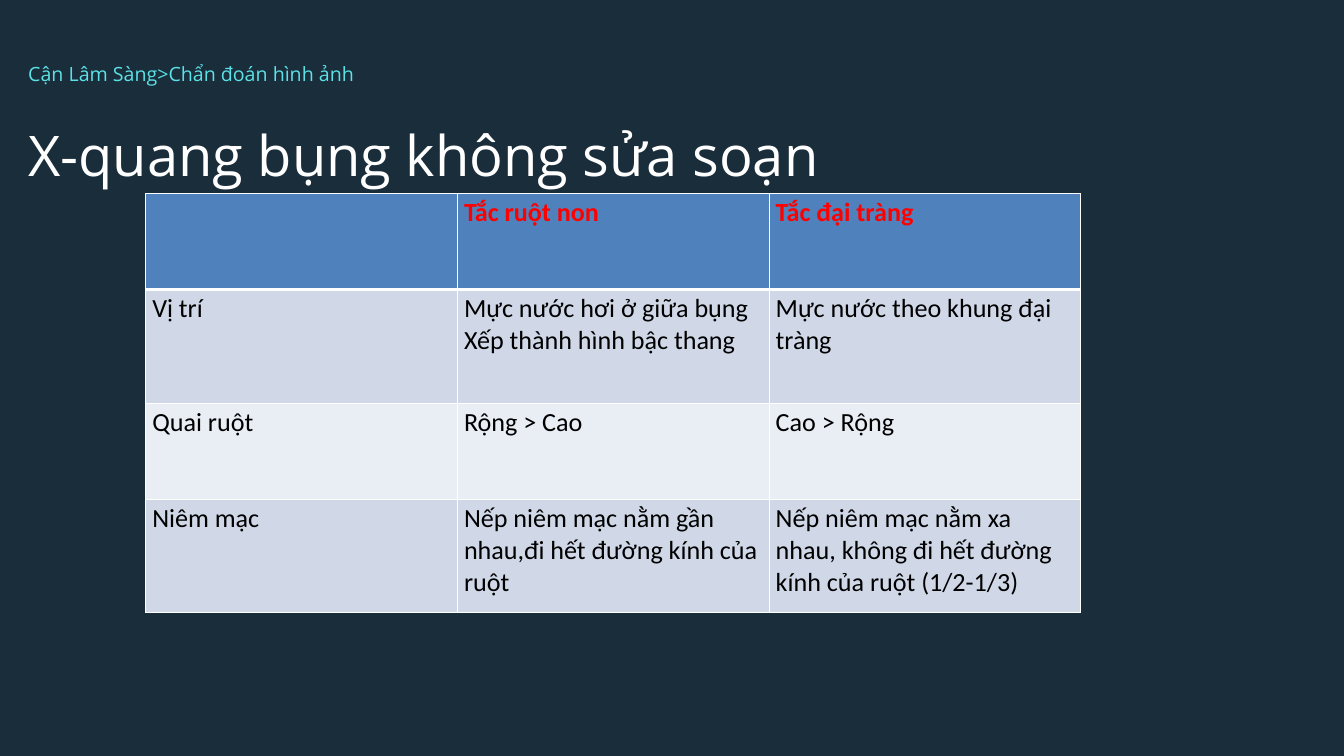
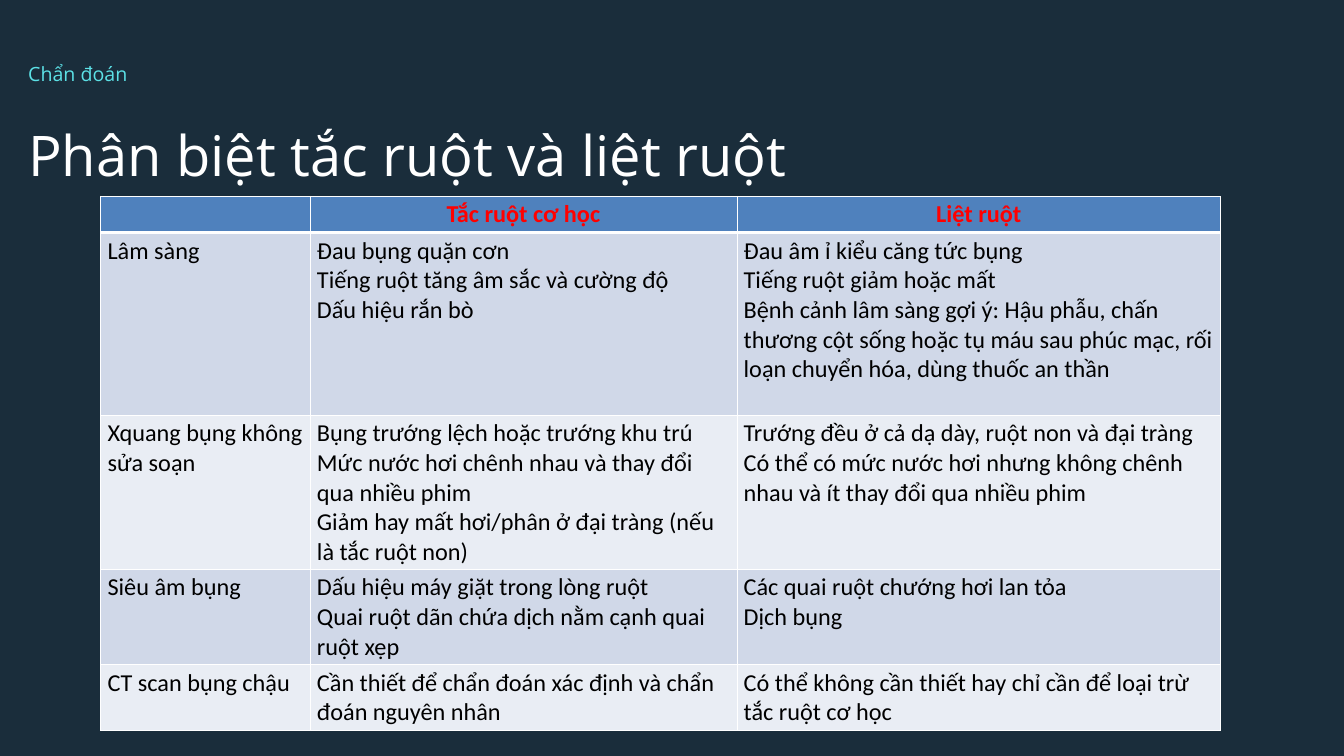
from lxml.etree import SubElement
from pptx import Presentation
from pptx.dml.color import RGBColor
from pptx.enum.shapes import MSO_SHAPE as Shape
from pptx.enum.text import MSO_AUTO_SIZE as AutoSize, PP_ALIGN as Align
from pptx.oxml.ns import qn
from pptx.util import Pt

WIDTH, HEIGHT = 1440, 810
BLEED = 8.64
COLORS = {
    "background": "1A2D3B",
    "title": "FFFFFF",
    "section": "5CE1E6",
    "header": "4F81BD",
    "header_text": "FF0000",
    "odd_row": "D0D8E8",
    "even_row": "E9EDF4",
    "cell_text": "000000",
    "border": "FFFFFF",
}
TITLE_FONT, TABLE_FONT = "Open Sans", "Calibri"


def color(name):
    return RGBColor.from_string(COLORS[name])


def add_span(para, text, font, size, color_name, bold=False):
    span = para.add_run()
    span.text = text
    span.font.name = font
    span.font.size = Pt(size)
    span.font.bold = bold
    span.font.color.rgb = color(color_name)


def add_background(page):
    panel = page.shapes.add_shape(Shape.RECTANGLE, 0, Pt(-BLEED), Pt(WIDTH), Pt(HEIGHT + BLEED))
    panel.shadow.inherit = False
    panel.fill.solid()
    panel.fill.fore_color.rgb = color("background")
    panel.line.fill.background()


def add_line_of_text(page, box, text, size, line_spacing, color_name):
    label = page.shapes.add_textbox(*map(Pt, box))
    frame = label.text_frame
    frame.word_wrap = True
    frame.auto_size = AutoSize.SHAPE_TO_FIT_TEXT
    frame.margin_left = frame.margin_top = frame.margin_right = frame.margin_bottom = 0
    para = frame.paragraphs[0]
    para.line_spacing = Pt(line_spacing)
    add_span(para, text, TITLE_FONT, size, color_name)


def add_heading(page, section, title):
    add_line_of_text(page, (30.24, 123.84, 1337.76, 74.16), title, 60, 76.8, "title")
    add_line_of_text(page, (30.24, 64.8, 390.24, 26.9), section, 21, 26.9, "section")


def add_borders(cell, row):
    """Draw thin white edges, with a heavier rule under the header."""
    widths = {"L": 1, "R": 1, "T": 3 if row == 1 else 1, "B": 3 if row == 0 else 1}
    properties = cell._tc.get_or_add_tcPr()
    for side, width in widths.items():
        edge = SubElement(properties, qn(f"a:ln{side}"), w=str(Pt(width)))
        fill = SubElement(edge, qn("a:solidFill"))
        SubElement(fill, qn("a:srgbClr"), val=COLORS["border"])


def fill_cell(cell, row, text, size, header_align):
    add_borders(cell, row)
    is_header = row == 0
    cell.fill.solid()
    cell.fill.fore_color.rgb = color(
        "header" if is_header else "odd_row" if row % 2 else "even_row")
    if not text:
        return
    frame = cell.text_frame
    for index, line in enumerate(text.split("\n")):
        para = frame.add_paragraph() if index else frame.paragraphs[0]
        para.alignment = header_align if is_header else Align.LEFT
        add_span(para, line, TABLE_FONT, size,
                 "header_text" if is_header else "cell_text", is_header)


def add_comparison(page, left, top, columns, heights, rows, size, header_align):
    box = map(Pt, (left, top, sum(columns), sum(heights)))
    table = page.shapes.add_table(len(heights), len(columns), *box).table
    for column, width in zip(table.columns, columns):
        column.width = Pt(width)
    for row, (texts, height) in enumerate(zip(rows, heights)):
        table.rows[row].height = Pt(height)
        for column, text in enumerate(texts):
            fill_cell(table.cell(row, column), row, text, size, header_align)


XRAY_ROWS = [
    ("", "Tắc ruột non", "Tắc đại tràng"),
    ("Vị trí", "Mực nước hơi ở giữa bụng\nXếp thành hình bậc thang",
     "Mực nước theo khung đại tràng"),
    ("Quai ruột", "Rộng > Cao", "Cao > Rộng"),
    ("Niêm mạc", "Nếp niêm mạc nằm gần nhau,đi hết đường kính của ruột",
     "Nếp niêm mạc nằm xa nhau, không đi hết đường kính của ruột (1/2-1/3)"),
]
ILEUS_ROWS = [
    ("", "Tắc ruột cơ học", "Liệt ruột"),
    ("Lâm sàng",
     "Đau bụng quặn cơn\nTiếng ruột tăng âm sắc và cường độ\nDấu hiệu rắn bò",
     "Đau âm ỉ kiểu căng tức bụng\nTiếng ruột giảm hoặc mất\n"
     "Bệnh cảnh lâm sàng gợi ý: Hậu phẫu, chấn thương cột sống hoặc tụ máu sau "
     "phúc mạc, rối loạn chuyển hóa, dùng thuốc an thần"),
    ("Xquang bụng không sửa soạn",
     "Bụng trướng lệch hoặc trướng khu trú\n"
     "Mức nước hơi chênh nhau và thay đổi qua nhiều phim\n"
     "Giảm hay mất hơi/phân ở đại tràng (nếu là tắc ruột non)",
     "Trướng đều ở cả dạ dày, ruột non và đại tràng\n"
     "Có thể có mức nước hơi nhưng không chênh nhau và ít thay đổi qua nhiều phim"),
    ("Siêu âm bụng",
     "Dấu hiệu máy giặt trong lòng ruột\nQuai ruột dãn chứa dịch nằm cạnh quai ruột xẹp",
     "Các quai ruột chướng hơi lan tỏa\nDịch bụng"),
    ("CT scan bụng chậu",
     "Cần thiết để chẩn đoán xác định và chẩn đoán nguyên nhân",
     "Có thể không cần thiết hay chỉ cần để loại trừ tắc ruột cơ học"),
]
PAGES = [
    ("Cận Lâm Sàng>Chẩn đoán hình ảnh", "X-quang bụng không sửa soạn",
     dict(left=156, top=207.4, columns=[334] * 3, heights=[103, 121.6] * 2,
          rows=XRAY_ROWS, size=28, header_align=Align.LEFT)),
    ("Chẩn đoán", "Phân biệt tắc ruột và liệt ruột",
     dict(left=108, top=210.2, columns=[224.4, 457.2, 518.4],
          heights=[38.9, 195.8, 164.9, 102.2, 70.6],
          rows=ILEUS_ROWS, size=26, header_align=Align.CENTER)),
]


def main():
    deck = Presentation()
    deck.slide_width, deck.slide_height = Pt(WIDTH), Pt(HEIGHT)
    for section, title, comparison in PAGES:
        page = deck.slides.add_slide(deck.slide_layouts[6])
        add_background(page)
        add_heading(page, section, title)
        add_comparison(page, **comparison)
    deck.save("out.pptx")


if __name__ == "__main__":
    main()
